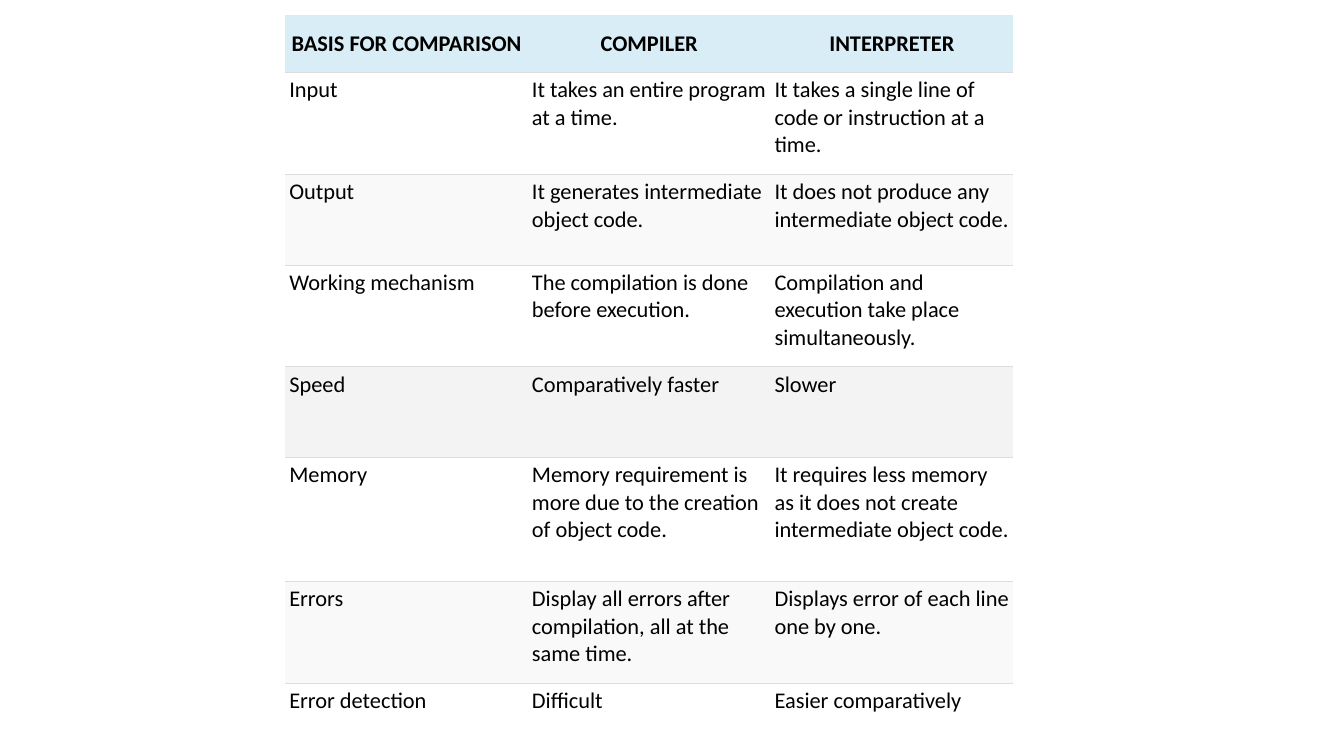
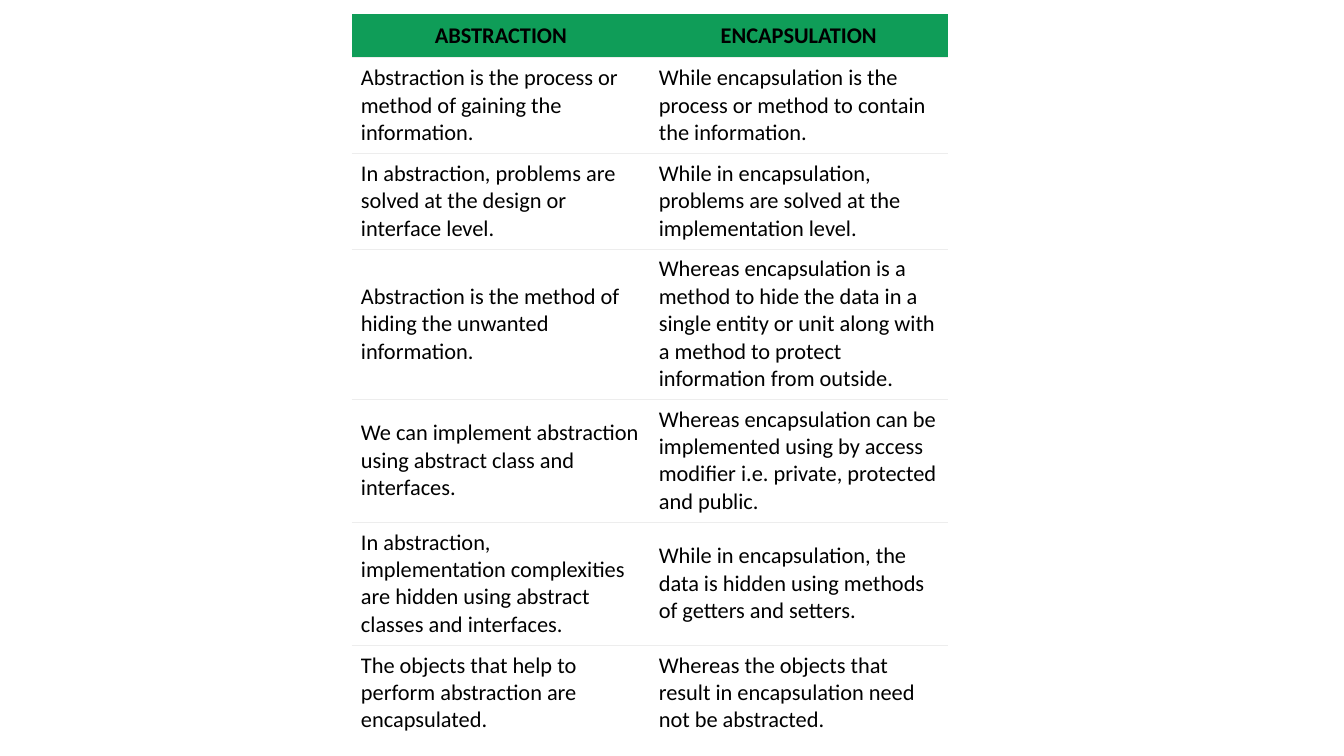
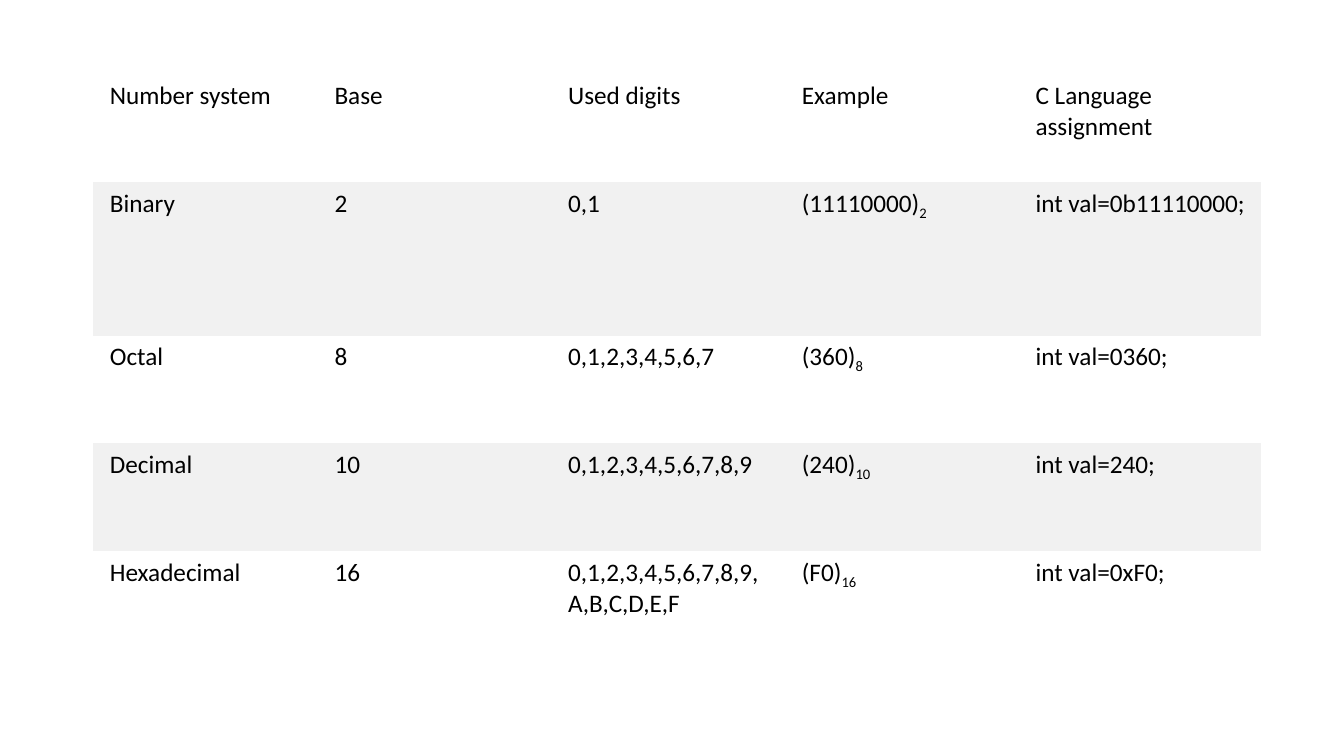
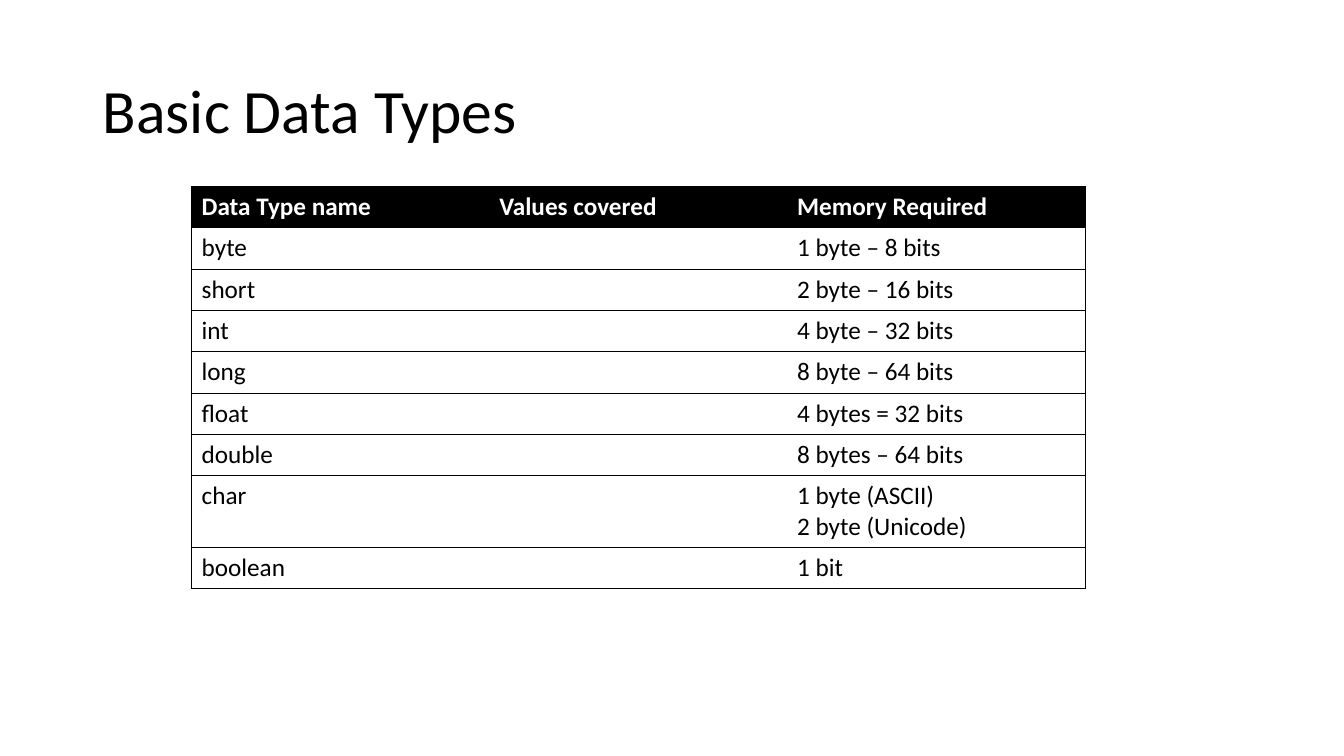
"""Build four slides of programming comparison and reference tables."""
from lxml import etree
from pptx import Presentation
from pptx.dml.color import RGBColor
from pptx.enum.text import MSO_ANCHOR, PP_ALIGN
from pptx.oxml.ns import qn
from pptx.util import Inches, Pt

FONT = "Calibri"
BLACK = RGBColor(0x00, 0x00, 0x00)
WHITE = RGBColor(0xFF, 0xFF, 0xFF)
PALE_BLUE = RGBColor(0xD9, 0xED, 0xF7)
GREEN = RGBColor(0x0F, 0x9D, 0x58)
GREY_LINE = RGBColor(0xDD, 0xDD, 0xDD)
LIGHT_LINE = RGBColor(0xED, 0xED, 0xED)
GREY_F9 = RGBColor(0xF9, 0xF9, 0xF9)
GREY_F3 = RGBColor(0xF3, 0xF3, 0xF3)
GREY_F1 = RGBColor(0xF1, 0xF1, 0xF1)
LEFT, CENTER = PP_ALIGN.LEFT, PP_ALIGN.CENTER
TOP, MIDDLE = MSO_ANCHOR.TOP, MSO_ANCHOR.MIDDLE
PLAIN_STYLE = "{2D5ABB26-0587-4C30-8999-92F81FD0307C}"
TITLE_ONLY, BLANK = 5, 6


def add_border(cell, side, color, width):
    ln = etree.SubElement(cell._tc.get_or_add_tcPr(), qn(f"a:ln{side}"), w=str(Pt(width)))
    fill = etree.SubElement(ln, qn("a:solidFill"))
    etree.SubElement(fill, qn("a:srgbClr"), val=str(color))


def add_grid(slide, rows, box, heights, fills, size, margins,
             line=None, line_width=0.75, framed=False,
             bold_head=True, head_color=BLACK, head_align=CENTER, anchor=TOP):
    last_row, last_col = len(rows) - 1, len(rows[0]) - 1
    left, top, width = box
    frame = slide.shapes.add_table(len(rows), len(rows[0]), Inches(left), Inches(top),
                                   Inches(width), Inches(sum(heights)))
    table = frame.table
    table._tbl.tblPr[0].text = PLAIN_STYLE
    table.horz_banding = False
    for row, height in zip(table.rows, heights):
        row.height = Inches(height)
    for i, texts in enumerate(rows):
        head = i == 0
        for j, text in enumerate(texts):
            cell = table.cell(i, j)
            sides = {"L": framed and j == 0, "R": framed and j == last_col,
                     "T": framed or i > 0, "B": framed or i < last_row}
            for side, shown in sides.items():
                if line is not None and shown:
                    add_border(cell, side, line, line_width)
            cell.fill.solid()
            cell.fill.fore_color.rgb = fills[i]
            cell.vertical_anchor = MIDDLE if head and bold_head else anchor
            (cell.margin_left, cell.margin_top,
             cell.margin_right, cell.margin_bottom) = [Inches(m) for m in margins]
            tf = cell.text_frame
            for k, paragraph in enumerate(text.split("\n")):
                p = tf.add_paragraph() if k else tf.paragraphs[0]
                p.alignment = head_align if head else LEFT
                p.font.size = Pt(size)
                for n, part in enumerate(paragraph.split("_")):
                    r = p.add_run()
                    r.text = part
                    r.font.name, r.font.size = FONT, Pt(size)
                    r.font.bold = head and bold_head
                    r.font.color.rgb = head_color if head else BLACK
                    if n:
                        r.font._element.set("baseline", "-25000")
    return table


prs = Presentation()
prs.slide_width, prs.slide_height = Inches(13.33), Inches(7.5)

s = prs.slides.add_slide(prs.slide_layouts[BLANK])
compiler_rows = [
    ("BASIS FOR COMPARISON", "COMPILER", "INTERPRETER"),
    ("Input", "It takes an entire program at a time.",
     "It takes a single line of code or instruction at a time."),
    ("Output", "It generates intermediate object code.",
     "It does not produce any intermediate object code."),
    ("Working mechanism", "The compilation is done before execution.",
     "Compilation and execution take place simultaneously."),
    ("Speed", "Comparatively faster", "Slower"),
    ("Memory", "Memory requirement is more due to the creation of object code.",
     "It requires less memory as it does not create intermediate object code."),
    ("Errors", "Display all errors after compilation, all at the same time.",
     "Displays error of each line one by one."),
    ("Error detection", "Difficult", "Easier comparatively"),
]
add_grid(s, compiler_rows, (2.83, 0.15, 7.22),
         [0.57, 1.01, 0.9, 1.01, 0.9, 1.23, 1.01, 0.57],
         [PALE_BLUE, WHITE, GREY_F9, WHITE, GREY_F3, WHITE, GREY_F9, WHITE],
         16, [0.04] * 4, GREY_LINE)

s = prs.slides.add_slide(prs.slide_layouts[BLANK])
abstraction_rows = [
    ("ABSTRACTION", "ENCAPSULATION"),
    ("Abstraction is the process or method of gaining the information.",
     "While encapsulation is the process or method to contain the information."),
    ("In abstraction, problems are solved at the design or interface level.",
     "While in encapsulation, problems are solved at the implementation level."),
    ("Abstraction is the method of hiding the unwanted information.",
     "Whereas encapsulation is a method to hide the data in a single entity or unit "
     "along with a method to protect information from outside."),
    ("We can implement abstraction using abstract class and interfaces.",
     "Whereas encapsulation can be implemented using by access modifier i.e. private, "
     "protected and public."),
    ("In abstraction, implementation complexities are hidden using abstract classes "
     "and interfaces.",
     "While in encapsulation, the data is hidden using methods of getters and setters."),
    ("The objects that help to perform abstraction are encapsulated.",
     "Whereas the objects that result in encapsulation need not be abstracted."),
]
add_grid(s, abstraction_rows, (3.49, 0.14, 5.91),
         [0.43, 0.95, 0.95, 1.49, 1.22, 1.22, 0.95], [GREEN] + [WHITE] * 6,
         16, (0.09, 0.04, 0.09, 0.04), LIGHT_LINE, anchor=MIDDLE)

s = prs.slides.add_slide(prs.slide_layouts[BLANK])
number_rows = [
    ("Number system", "Base", "Used digits", "Example", "C Language assignment"),
    ("Binary", "2", "0,1", "(11110000)_2", "int val=0b11110000;"),
    ("Octal", "8", "0,1,2,3,4,5,6,7", "(360)_8", "int val=0360;"),
    ("Decimal", "10", "0,1,2,3,4,5,6,7,8,9", "(240)_10", "int val=240;"),
    ("Hexadecimal", "16", "0,1,2,3,4,5,6,7,8,9,\nA,B,C,D,E,F", "(F0)_16", "int val=0xF0;"),
]
table = add_grid(s, number_rows, (0.92, 0.74, 11.59), [1.07, 1.52, 1.07, 1.07, 1.52],
                 [WHITE, GREY_F1, WHITE, GREY_F1, WHITE], 18, (0.08, 0.06, 0.08, 0.06),
                 bold_head=False, head_align=LEFT)
for i in range(len(number_rows)):
    table.cell(i, 0).margin_left = Inches(0.17)

s = prs.slides.add_slide(prs.slide_layouts[TITLE_ONLY])
title = s.shapes.title
title.left, title.top = Inches(0.92), Inches(0.4)
title.width, title.height = Inches(11.5), Inches(1.45)
tf = title.text_frame
tf.vertical_anchor = MIDDLE
p = tf.paragraphs[0]
p.alignment, p.line_spacing = LEFT, 0.9
r = p.add_run()
r.text = "Basic Data Types"
r.font.name, r.font.size = FONT, Pt(44)
r.font.color.rgb = BLACK
type_rows = [
    ("Data Type name", "Values covered", "Memory Required"),
    ("byte", "", "1 byte – 8 bits"),
    ("short", "", "2 byte – 16 bits"),
    ("int", "", "4 byte – 32 bits"),
    ("long", "", "8 byte – 64 bits"),
    ("float", "", "4 bytes = 32 bits"),
    ("double", "", "8 bytes – 64 bits"),
    ("char", "", "1 byte (ASCII)\n2 byte (Unicode)"),
    ("boolean", "", "1 bit"),
]
add_grid(s, type_rows, (1.9, 1.85, 8.86), [0.41] * 7 + [0.71, 0.41],
         [BLACK] + [WHITE] * 8, 18, (0.1, 0.05, 0.1, 0.05), BLACK, 0.5, framed=True,
         head_color=WHITE, head_align=LEFT)

prs.save("out.pptx")
